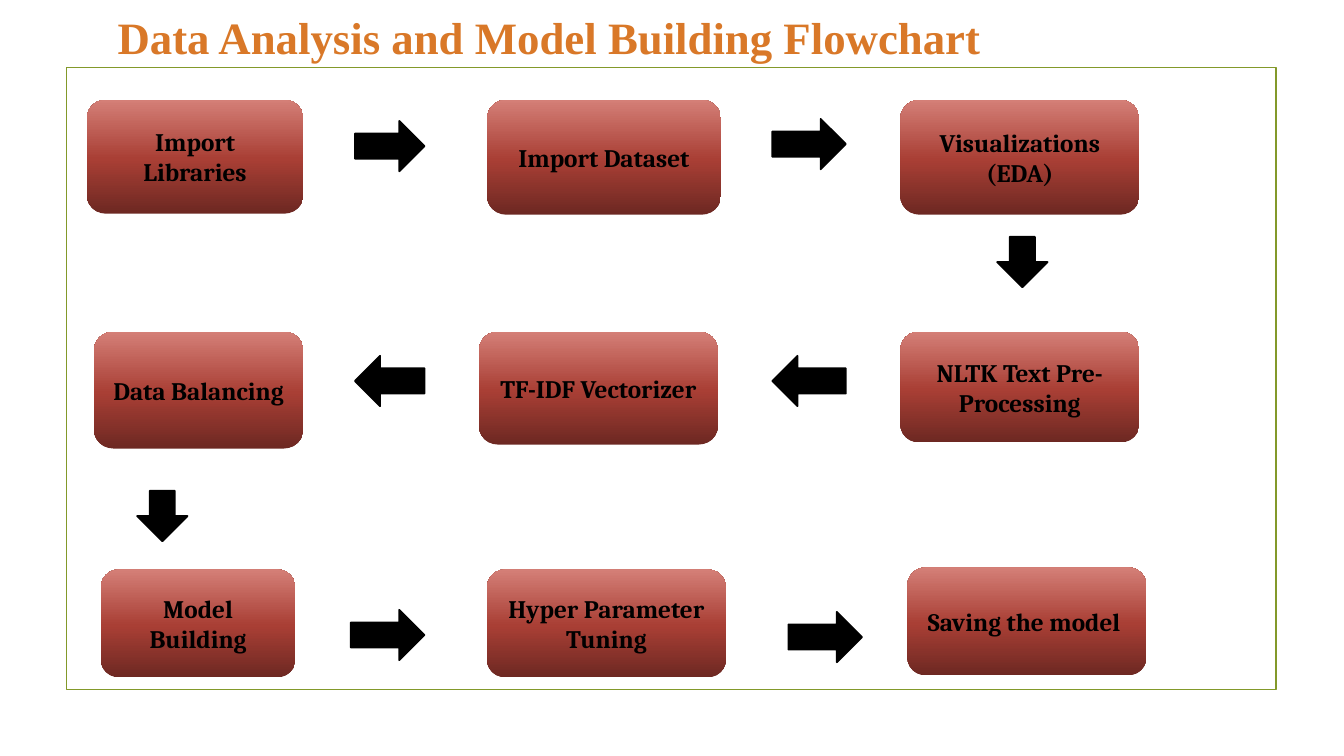
"""Builds the flowchart slide of a data analysis and model building process."""
from lxml.etree import SubElement
from pptx import Presentation
from pptx.dml.color import RGBColor
from pptx.enum.shapes import MSO_SHAPE as Shape
from pptx.enum.text import MSO_ANCHOR as Anchor, MSO_AUTO_SIZE as AutoSize, PP_ALIGN as Align
from pptx.oxml.ns import qn
from pptx.util import Pt

PX = 9144
COLORS = {
    "frame": "83992A",
    "ink": "000000",
    "title_dark": "6D3C13",
    "title": "D97828",
    "title_light": "E8AE7E",
    "step_dark": "6D2822",
    "step": "A93F35",
    "step_light": "D47F77",
}
TITLE_STOPS = [(0, "title_dark"), (50, "title"), (100, "title_light")]
STEP_STOPS = [(0, "step_dark"), (48, "step"), (100, "step_light")]

STEPS = [
    (86, 99, 215, 113, ["Import Libraries"]),
    (483, 99, 232, 114, ["Import Dataset"]),
    (893, 99, 237, 114, ["Visualizations", "(EDA)"]),
    (893, 329, 237, 110, ["NLTK Text Pre-Processing"]),
    (475, 329, 237, 112, ["TF-IDF Vectorizer"]),
    (93, 329, 208, 116, ["Data Balancing"]),
    (100, 565, 193, 107, ["Model Building"]),
    (483, 565, 237, 107, ["Hyper Parameter Tuning"]),
    (900, 563, 237, 107, ["Saving the model "]),
]
ARROWS = [
    (Shape.RIGHT_ARROW, 352, 120, 69),
    (Shape.RIGHT_ARROW, 766, 118, 73),
    (Shape.DOWN_ARROW, 989, 235, 50),
    (Shape.LEFT_ARROW, 766, 353, 73),
    (Shape.LEFT_ARROW, 352, 353, 69),
    (Shape.DOWN_ARROW, 136, 487, 50),
    (Shape.RIGHT_ARROW, 348, 605, 73),
    (Shape.RIGHT_ARROW, 782, 607, 73),
]
ARROW_HEIGHT = 50


def color(name):
    """Return the named colour."""
    return RGBColor.from_string(COLORS[name])


def apply_gradient(fill, element, stops, angle):
    """Give a fill a linear gradient with any number of stops."""
    fill.gradient()
    fill.gradient_angle = angle
    stop_list = element.find(".//" + qn("a:gsLst"))
    for stop in list(stop_list):
        stop_list.remove(stop)
    for percent, name in stops:
        stop = SubElement(stop_list, qn("a:gs"), pos=str(percent * 1000))
        SubElement(stop, qn("a:srgbClr"), val=COLORS[name])


def add_preset(page, kind, left, top, width, height):
    """Add a preset shape without shadow."""
    shape = page.shapes.add_shape(kind, left * PX, top * PX, width * PX, height * PX)
    shape.shadow.inherit = False
    return shape


def add_span(para, text, font_name, size):
    """Add a bold run to a centred paragraph."""
    para.alignment = Align.CENTER
    span = para.add_run()
    span.text = text
    span.font.name = font_name
    span.font.size = Pt(size)
    span.font.bold = True
    return span


def add_frame(page):
    """Add the outlined frame around the flowchart."""
    frame = add_preset(page, Shape.RECTANGLE, 66, 67, 1200, 617)
    frame.fill.background()
    frame.line.color.rgb = color("frame")
    frame.line.width = Pt(1.25)


def add_title(page, text):
    """Add the slide heading."""
    box = page.shapes.add_textbox(0, 5 * PX, 1090 * PX, 94 * PX)
    box.text_frame.word_wrap = True
    box.text_frame.auto_size = AutoSize.SHAPE_TO_FIT_TEXT
    span = add_span(box.text_frame.paragraphs[0], text, "Times New Roman", 32)
    apply_gradient(span.font.fill, box.element, TITLE_STOPS, 270)


def add_step(page, left, top, width, height, lines):
    """Add one labelled step of the process."""
    step = add_preset(page, Shape.FLOWCHART_ALTERNATE_PROCESS, left, top, width, height)
    apply_gradient(step.fill, step.element, STEP_STOPS, 90)
    step.line.fill.background()
    frame = step.text_frame
    frame.word_wrap = True
    frame.vertical_anchor = Anchor.MIDDLE
    for index, line in enumerate(lines):
        para = frame.add_paragraph() if index else frame.paragraphs[0]
        add_span(para, line, "Cambria", 18).font.color.rgb = color("ink")


def add_arrow(page, kind, left, top, width):
    """Add a solid block arrow between two steps."""
    arrow = add_preset(page, kind, left, top, width, ARROW_HEIGHT)
    arrow.fill.solid()
    arrow.fill.fore_color.rgb = color("ink")
    arrow.line.color.rgb = color("ink")
    arrow.line.width = Pt(1.25)


def main():
    """Build and save the deck."""
    deck = Presentation()
    deck.slide_width = 1333 * PX
    deck.slide_height = 750 * PX
    page = deck.slides.add_slide(deck.slide_layouts[6])
    add_frame(page)
    add_title(page, "Data Analysis and Model Building Flowchart")
    for step in STEPS:
        add_step(page, *step)
    for arrow in ARROWS:
        add_arrow(page, *arrow)
    deck.save("out.pptx")


if __name__ == "__main__":
    main()
